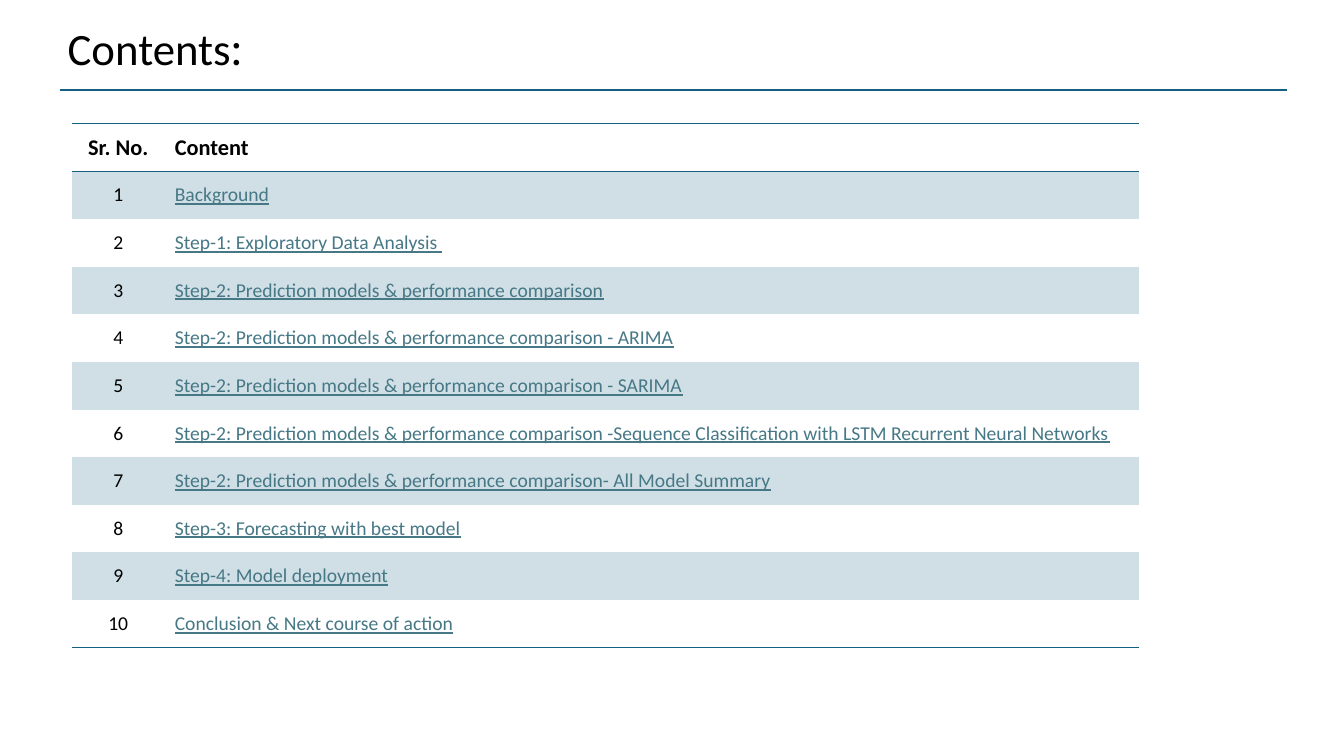
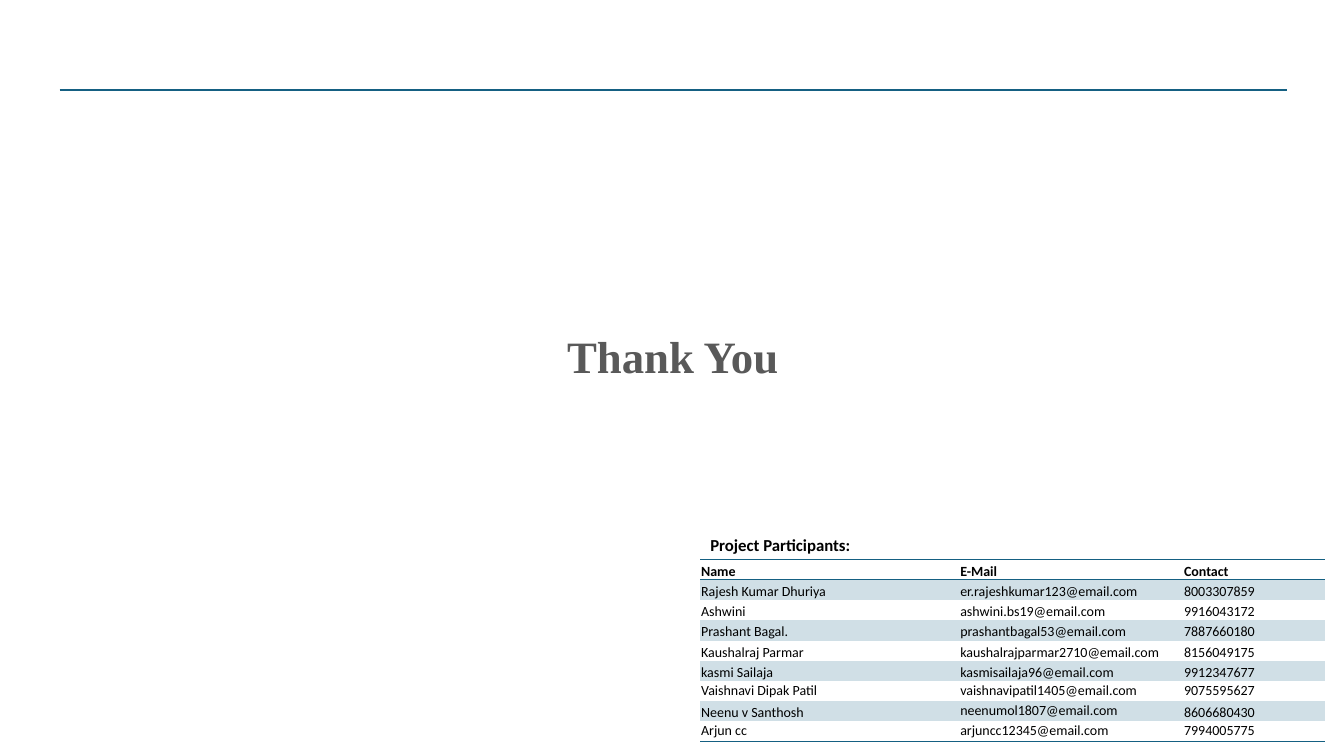
from lxml.etree import SubElement
from pptx import Presentation
from pptx.dml.color import RGBColor
from pptx.enum.shapes import MSO_CONNECTOR
from pptx.enum.text import MSO_ANCHOR as Anchor, MSO_AUTO_SIZE as AutoSize, PP_ALIGN as Align
from pptx.oxml.ns import qn
from pptx.util import Cm, Pt

# Shared look
TEAL, BAND, LINK, BLACK, GREY = "156082", "D0DFE6", "467886", "000000", "595959"
BODY_FONT = "Calibri"

# Content
MODELS = "Step-2: Prediction models & performance comparison"
CONTENTS = [
    "Background",
    "Step-1: Exploratory Data Analysis ",
    MODELS,
    MODELS + " - ARIMA",
    MODELS + " - SARIMA",
    MODELS + " -Sequence Classification with LSTM Recurrent Neural Networks",
    MODELS + "- All Model Summary",
    "Step-3: Forecasting with best model",
    "Step-4: Model deployment",
    "Conclusion & Next course of action",
]
PARTICIPANTS = [
    ("Name", "E-Mail", "Contact"),
    ("Rajesh Kumar Dhuriya", "er.rajeshkumar123@email.com", "8003307859"),
    ("Ashwini", "ashwini.bs19@email.com", "9916043172"),
    ("Prashant Bagal.", "prashantbagal53@email.com", "7887660180"),
    ("Kaushalraj Parmar", "kaushalrajparmar2710@email.com", "8156049175"),
    ("kasmi Sailaja", "kasmisailaja96@email.com", "9912347677"),
    ("Vaishnavi Dipak Patil", "vaishnavipatil1405@email.com", "9075595627"),
    ("Neenu v Santhosh", "neenumol1807@email.com", "8606680430"),
    ("Arjun cc", "arjuncc12345@email.com", "7994005775"),
]
# Participant cells (row, column) whose text sits at the top
TOP_CELLS = {(6, 0), (6, 1), (6, 2), (7, 1), (8, 0), (8, 1), (8, 2)}


def rgb(color):
    return RGBColor.from_string(color)


def add_run(paragraph, text, size, color=BLACK, font=BODY_FONT, bold=False, underline=False):
    run = paragraph.add_run()
    run.text = text
    run.font.size, run.font.name = Pt(size), font
    run.font.bold, run.font.underline = bold, underline
    run.font.color.rgb = rgb(color)


def place(shape, left, top, width, height):
    shape.left, shape.top, shape.width, shape.height = map(Cm, (left, top, width, height))


def add_ruled_slide(prs):
    """Title-only slide with the teal rule under the heading area."""
    slide = prs.slides.add_slide(prs.slide_layouts[5])
    rule = slide.shapes.add_connector(
        MSO_CONNECTOR.STRAIGHT, Cm(1.5), Cm(2.27), Cm(32.44), Cm(2.27))
    rule.line.color.rgb, rule.line.width = rgb(TEAL), Pt(1.5)
    SubElement(rule._element.spPr, qn("a:effectLst"))
    slide.shapes.title.text_frame.auto_size = AutoSize.NONE
    return slide


def set_borders(cell, ruled_sides):
    """Rule the given sides; the others stay bare. Call before filling."""
    props = cell._tc.get_or_add_tcPr()
    for side in ("lnL", "lnR", "lnT", "lnB"):
        ruled = side in ruled_sides
        line = SubElement(props, qn("a:" + side), w=str(Pt(1) if ruled else 0))
        if ruled:
            SubElement(SubElement(line, qn("a:solidFill")), qn("a:srgbClr"), val=TEAL)
        else:
            SubElement(line, qn("a:noFill"))


def add_banded_table(slide, rows, left, top, widths, row_height, format_cell):
    """Banded table; format_cell(cell, row, column) returns the run's style."""
    table = slide.shapes.add_table(
        len(rows), len(widths), Cm(left), Cm(top), Cm(sum(widths)),
        Cm(row_height * len(rows))).table
    for column, width in zip(table.columns, widths):
        column.width = Cm(width)
    last = len(rows) - 1
    for r, values in enumerate(rows):
        table.rows[r].height = Cm(row_height)
        for c, value in enumerate(values):
            cell = table.cell(r, c)
            set_borders(cell, {0: ("lnT", "lnB"), 1: ("lnT",), last: ("lnB",)}.get(r, ()))
            if r % 2:
                cell.fill.solid()
                cell.fill.fore_color.rgb = rgb(BAND)
            else:
                cell.fill.background()
            style = format_cell(cell, r, c)
            add_run(cell.text_frame.paragraphs[0], value, bold=r == 0, **style)


def format_contents(cell, row, column):
    cell.vertical_anchor = Anchor.MIDDLE
    if column == 0:
        cell.text_frame.paragraphs[0].alignment = Align.CENTER
    if row == 0:
        return {"size": 16}
    return {"size": 14, "color": LINK, "underline": True} if column else {"size": 14}


def format_participant(cell, row, column):
    cell.vertical_anchor = Anchor.TOP if (row, column) in TOP_CELLS else Anchor.BOTTOM
    cell.margin_left = cell.margin_right = cell.margin_top = Cm(0.02)
    cell.margin_bottom = 0
    return {"size": 10}


def build_contents(prs):
    slide = add_ruled_slide(prs)
    heading = slide.shapes.title
    place(heading, 1.45, 0.3, 29.21, 1.96)
    heading.text_frame.vertical_anchor = Anchor.MIDDLE
    paragraph = heading.text_frame.paragraphs[0]
    paragraph.alignment, paragraph.line_spacing = Align.LEFT, 0.9
    add_run(paragraph, "Contents", 32)
    add_run(paragraph, ":", 32, font="Lato")

    rows = [("Sr. No.", "Content")]
    rows += [(str(number), entry) for number, entry in enumerate(CONTENTS, 1)]
    add_banded_table(slide, rows, 1.81, 3.12, (2.34, 24.56), 1.2, format_contents)


def build_thanks(prs):
    slide = add_ruled_slide(prs)
    thanks = slide.shapes.title
    place(thanks, 3.25, 7.47, 27.41, 2.49)
    frame = thanks.text_frame
    frame.vertical_anchor = Anchor.TOP
    frame.margin_left = frame.margin_right = frame.margin_top = frame.margin_bottom = Cm(0.13)
    paragraph = frame.paragraphs[0]
    paragraph.alignment, paragraph.line_spacing = Align.CENTER, 1.5
    add_run(paragraph, "Thank You", 32, GREY, "Times New Roman", bold=True)

    add_banded_table(slide, PARTICIPANTS, 17.65, 14.1, (6.53, 5.64, 3.56), 0.51,
                     format_participant)
    caption = slide.shapes.add_textbox(Cm(17.65), Cm(13.34), Cm(14.15), Cm(0.76)).text_frame
    caption.word_wrap = True
    add_run(caption.paragraphs[0], "Project Participants:", 12, bold=True)


def main():
    prs = Presentation()
    prs.slide_width, prs.slide_height = Cm(33.87), Cm(19.05)
    build_contents(prs)
    build_thanks(prs)
    prs.save("out.pptx")


if __name__ == "__main__":
    main()
